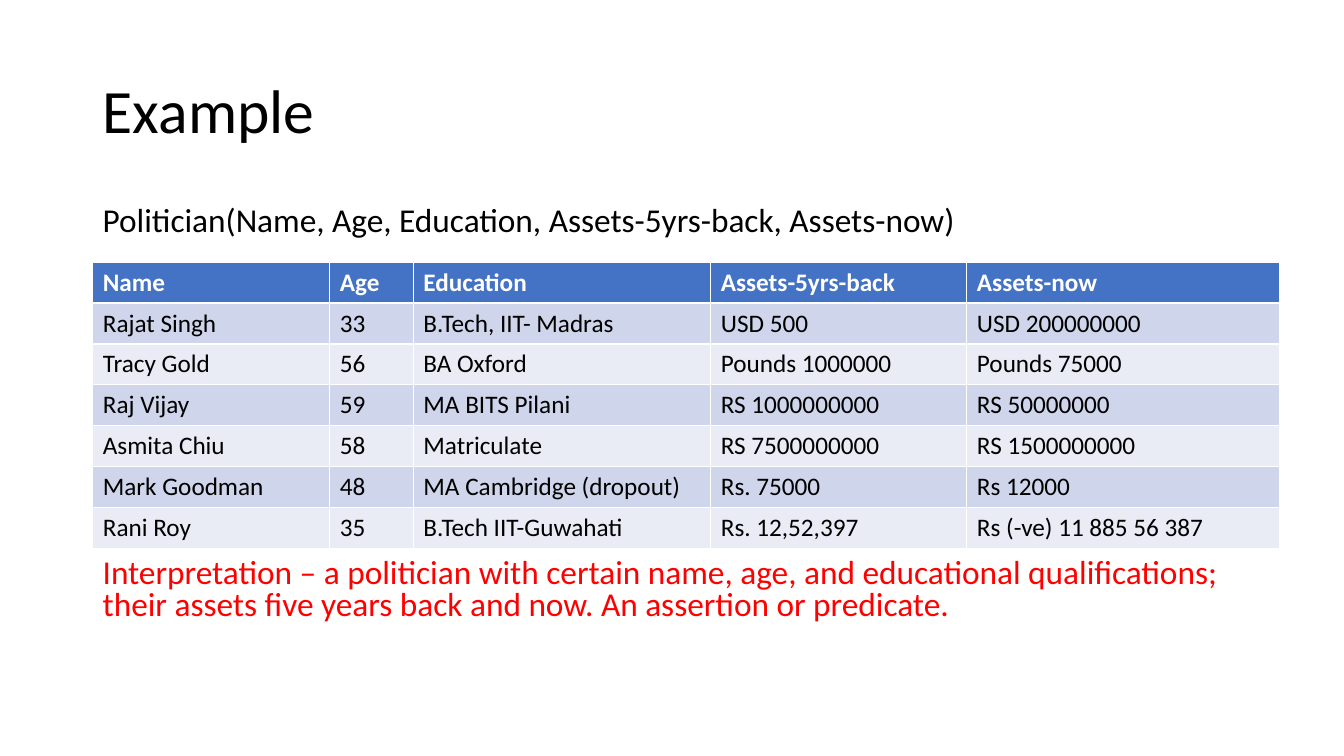
import pptx
import pptx.util
import pptx.dml.color
import pptx.enum.text

Inches = pptx.util.Inches

# Content
TITLE = "Example"
SCHEMA = "Politician(Name, Age, Education, Assets-5yrs-back, Assets-now)"
INTERPRETATION = (
    "Interpretation – a politician with certain name, age, and educational qualifications; "
    "their assets five years back and now. An assertion or predicate."
)
POLITICIANS = [
    ("Name", "Age", "Education", "Assets-5yrs-back", "Assets-now"),
    ("Rajat Singh", "33", "B.Tech, IIT- Madras", "USD 500", "USD 200000000"),
    ("Tracy Gold", "56", "BA Oxford", "Pounds 1000000", "Pounds 75000"),
    ("Raj Vijay", "59", "MA BITS Pilani", "RS 1000000000", "RS 50000000"),
    ("Asmita Chiu", "58", "Matriculate", "RS 7500000000", "RS 1500000000"),
    ("Mark Goodman", "48", "MA Cambridge (dropout)", "Rs. 75000", "Rs 12000"),
    ("Rani Roy", "35", "B.Tech IIT-Guwahati", "Rs. 12,52,397", "Rs (-ve) 11 885 56 387"),
]
COLUMN_WIDTHS = (2.35, 0.83, 2.95, 2.54, 3.1)
ROW_HEIGHT = 0.406
LEFT, TEXT_WIDTH = 0.92, 11.5
HEADER_FILL, BAND_FILLS = "4472C4", ("CFD5EA", "E9EBF5")


def color(value):
    return pptx.dml.color.RGBColor.from_string(value)


def write(frame, text, size, fill="000000", bold=False, spacing=1.0):
    paragraph = frame.paragraphs[0]
    paragraph.alignment = pptx.enum.text.PP_ALIGN.LEFT
    paragraph.line_spacing = spacing
    run = paragraph.add_run()
    run.text = text
    run.font.name = "Calibri"
    run.font.size = pptx.util.Pt(size)
    run.font.bold = bold
    run.font.color.rgb = color(fill)


presentation = pptx.Presentation()
presentation.slide_width, presentation.slide_height = Inches(13.33), Inches(7.5)
slide = presentation.slides.add_slide(presentation.slide_layouts[5])

# Title
title = slide.shapes.title
title.left, title.top = Inches(LEFT), Inches(0.4)
title.width, title.height = Inches(TEXT_WIDTH), Inches(1.45)
title.text_frame.vertical_anchor = pptx.enum.text.MSO_ANCHOR.MIDDLE
write(title.text_frame, TITLE, 44, spacing=0.9)

# Schema above the table, interpretation below it
for text, top, height, fill in (
    (SCHEMA, 2, 0.5, "000000"),
    (INTERPRETATION, 5.5, 0.8, "FF0000"),
):
    box = slide.shapes.add_textbox(
        Inches(LEFT), Inches(top), Inches(TEXT_WIDTH), Inches(height))
    box.text_frame.word_wrap = True
    write(box.text_frame, text, 23.8, fill=fill, spacing=0.8)

# Table of politicians
table = slide.shapes.add_table(
    len(POLITICIANS), len(COLUMN_WIDTHS), Inches(LEFT), Inches(2.6),
    Inches(sum(COLUMN_WIDTHS)), Inches(ROW_HEIGHT * len(POLITICIANS))).table
for column, width in zip(table.columns, COLUMN_WIDTHS):
    column.width = Inches(width)
for row_index, values in enumerate(POLITICIANS):
    is_header = row_index == 0
    for column_index, value in enumerate(values):
        cell = table.cell(row_index, column_index)
        cell.fill.solid()
        cell.fill.fore_color.rgb = color(
            HEADER_FILL if is_header else BAND_FILLS[(row_index - 1) % 2])
        write(cell.text_frame, value, 18, bold=is_header,
              fill="FFFFFF" if is_header else "000000")

presentation.save("out.pptx")
